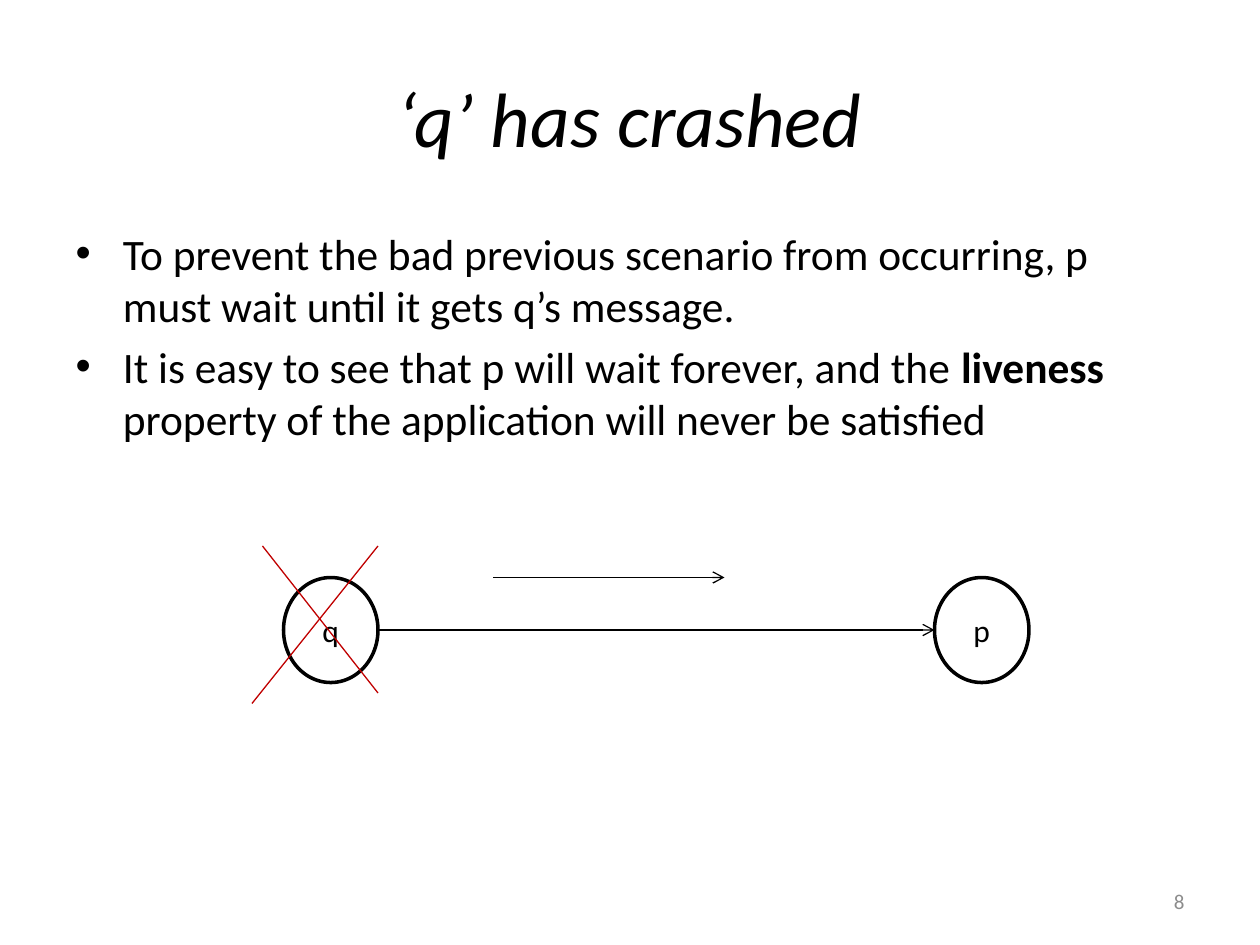
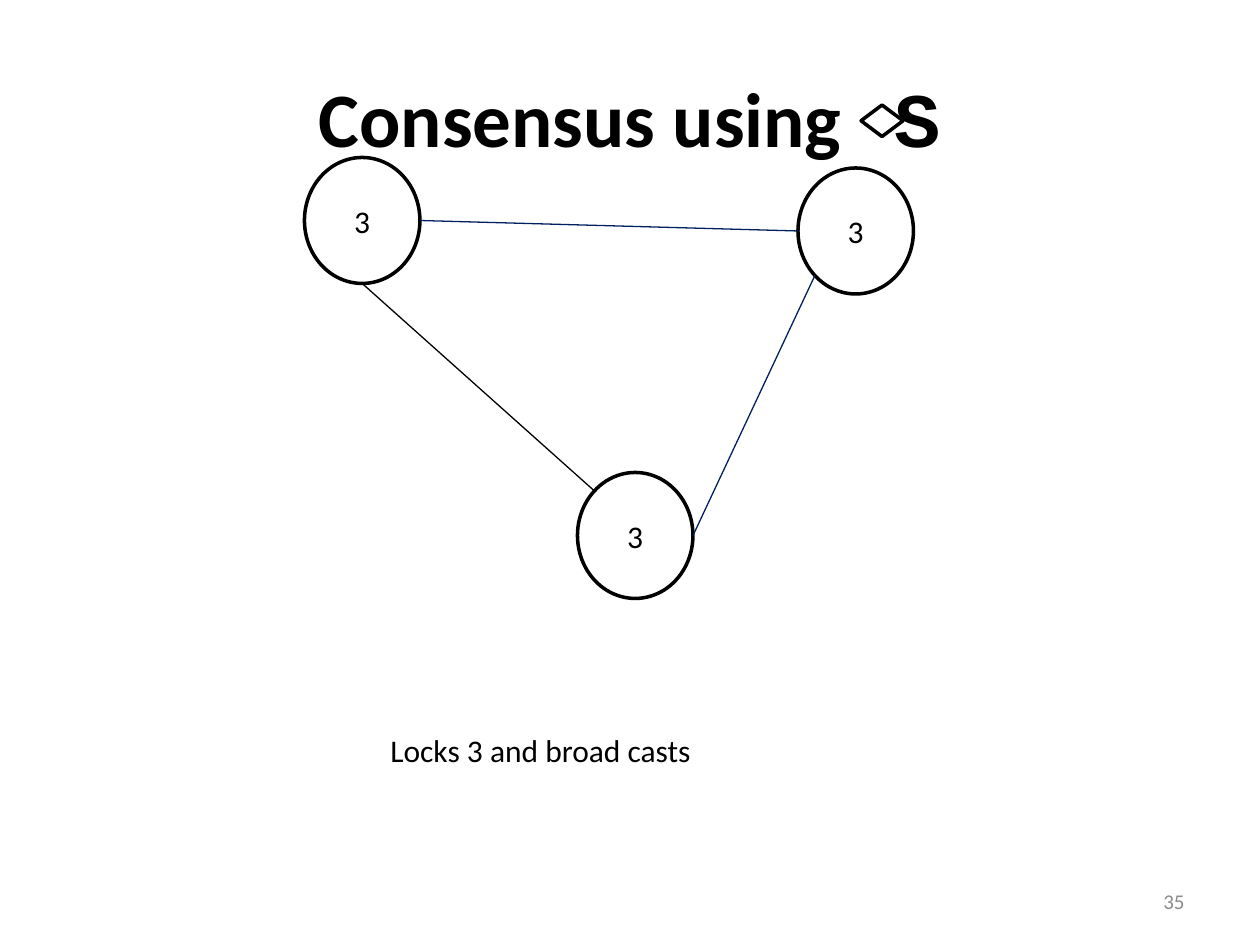
from dataclasses import dataclass
from math import cos, radians, sin

from lxml import etree
from pptx import Presentation
from pptx.dml.color import RGBColor
from pptx.enum.shapes import MSO_CONNECTOR, MSO_SHAPE
from pptx.enum.text import MSO_ANCHOR, MSO_AUTO_SIZE, PP_ALIGN
from pptx.oxml.ns import qn
from pptx.util import Pt

LINE = MSO_CONNECTOR.STRAIGHT
OVAL = MSO_SHAPE.OVAL
GEM = MSO_SHAPE.DIAMOND
MID = MSO_ANCHOR.MIDDLE
TOP = MSO_ANCHOR.TOP
LEFT, MIDDLE, RIGHT = PP_ALIGN.LEFT, PP_ALIGN.CENTER, PP_ALIGN.RIGHT
FIXED = MSO_AUTO_SIZE.NONE
LISTED, BARE = 1, 5


@dataclass(frozen=True)
class Theme:
    ink: str = "000000"
    paper: str = "FFFFFF"
    navy: str = "002060"
    red: str = "C00000"
    gray: str = "8C8C8C"
    font: str = "Calibri"
    mono: str = "Courier New"
    title: float = 44
    body: float = 24.8
    label: float = 18
    foot: float = 12
    thick: float = 2
    thin: float = 0.75


class Deck:
    def __init__(self, theme):
        self.theme = theme
        self.file = Presentation()
        self.file.slide_width = Pt(720)
        self.file.slide_height = Pt(540)

    def start(self, layout, number):
        self.slide = self.file.slides.add_slide(self.file.slide_layouts[layout])
        self.text(number, (516, 500.5, 168, 28.75), self.theme.foot,
                  self.theme.gray, RIGHT, MID)

    def place(self, shape, box):
        shape.left, shape.top, shape.width, shape.height = map(Pt, box)

    def run(self, para, words, size, color=None, font=None, bold=False, italic=False):
        run = para.add_run()
        run.text = words
        run.font.name = font or self.theme.font
        run.font.size = Pt(size)
        run.font.bold = bold
        run.font.italic = italic
        run.font.color.rgb = RGBColor.from_string(color or self.theme.ink)
        return run

    def title(self):
        shape = self.slide.shapes.title
        self.place(shape, (36, 21.6, 648, 90))
        frame = shape.text_frame
        frame.auto_size = FIXED
        frame.vertical_anchor = MID
        para = frame.paragraphs[0]
        para.alignment = MIDDLE
        return para

    def bullets(self, items, box):
        shape = self.slide.placeholders[1]
        self.place(shape, box)
        frame = shape.text_frame
        frame.auto_size = FIXED
        for rank, item in enumerate(items):
            para = frame.add_paragraph() if rank else frame.paragraphs[0]
            para.space_before = Pt(5 if rank else 0)
            for words, bold in item:
                self.run(para, words, self.theme.body, bold=bold)

    def text(self, words, box, size, color=None, align=LEFT, anchor=TOP):
        frame = self.slide.shapes.add_textbox(*map(Pt, box)).text_frame
        frame.word_wrap = True
        frame.vertical_anchor = anchor
        para = frame.paragraphs[0]
        para.alignment = align
        self.run(para, words, size, color)

    def shape(self, kind, box, label=None, fill=None):
        shape = self.slide.shapes.add_shape(kind, *map(Pt, box))
        shape.shadow.inherit = False
        if fill:
            shape.fill.solid()
            shape.fill.fore_color.rgb = RGBColor.from_string(fill)
        else:
            shape.fill.background()
        shape.line.color.rgb = RGBColor.from_string(self.theme.ink)
        shape.line.width = Pt(self.theme.thick)
        if label:
            frame = shape.text_frame
            frame.vertical_anchor = MID
            para = frame.paragraphs[0]
            para.alignment = MIDDLE
            self.run(para, label, self.theme.label)

    def line(self, start, end, color=None, arrow=False):
        line = self.slide.shapes.add_connector(LINE, *map(Pt, (*start, *end)))
        line.line.color.rgb = RGBColor.from_string(color or self.theme.ink)
        line.line.width = Pt(self.theme.thin)
        if arrow:
            etree.SubElement(line.line._get_or_add_ln(), qn("a:tailEnd"), type="arrow")
        etree.SubElement(line._element.spPr, qn("a:effectLst"))


def rim(box, angle):
    left, top, width, height = box
    turn = radians(angle)
    return left + width / 2 * (1 + cos(turn)), top + height / 2 * (1 + sin(turn))


def crash(deck):
    theme = deck.theme
    deck.start(LISTED, "8")
    deck.run(deck.title(), "‘q’ has crashed", theme.title, italic=True)
    deck.bullets([
        [("To prevent the bad previous scenario from occurring, p must wait "
          "until it gets q’s message.", False)],
        [("It is easy to see that p will wait forever, and the ", False),
         ("liveness", True),
         (" property of the application will never be satisfied", False)],
    ], (36, 126, 648, 114))
    nodes = {name: (left, 330, 54, 60) for name, left in (("q", 162), ("p", 534))}
    for name, box in nodes.items():
        deck.shape(OVAL, box, name)
    deck.line(rim(nodes["q"], 0), rim(nodes["p"], 180), arrow=True)
    deck.line((282, 330), (414, 330), arrow=True)
    deck.line((150, 312), (216, 396), theme.red)
    deck.line((216, 312), (144, 402), theme.red)


def agree(deck):
    theme = deck.theme
    deck.start(BARE, "35")
    para = deck.title()
    deck.run(para, "Consensus using", theme.title, bold=True)
    gap = deck.run(para, " ", theme.title, bold=True)
    gap.font._element.set("spc", "2000")
    deck.run(para, "S", theme.title, font=theme.mono, bold=True)
    first, low, last = [(left, top, 66, 72)
                        for left, top in ((174, 90), (330, 270), (456, 96))]
    for box in (first, low, last):
        deck.shape(OVAL, box, "3", theme.paper)
    deck.line(rim(first, 90), rim(low, 225))
    deck.line(rim(low, 0), rim(last, 135), theme.navy)
    deck.line(rim(first, 0), rim(last, 180), theme.navy)
    deck.text("Locks 3 and broad casts", (216, 414, 216, 29), theme.label)
    deck.shape(GEM, (492, 60, 24, 18))


def main():
    deck = Deck(Theme())
    crash(deck)
    agree(deck)
    deck.file.save("out.pptx")


if __name__ == "__main__":
    main()
